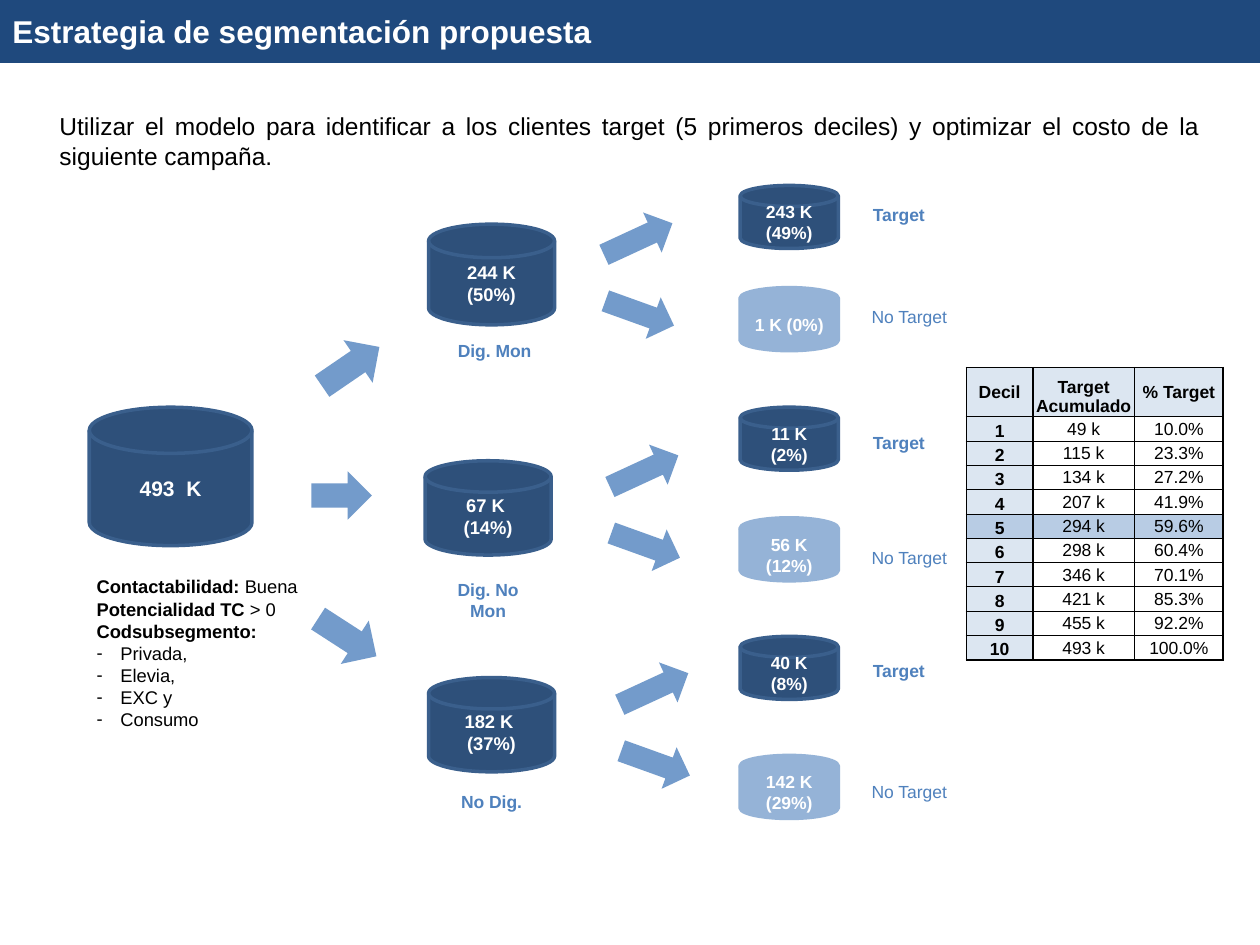
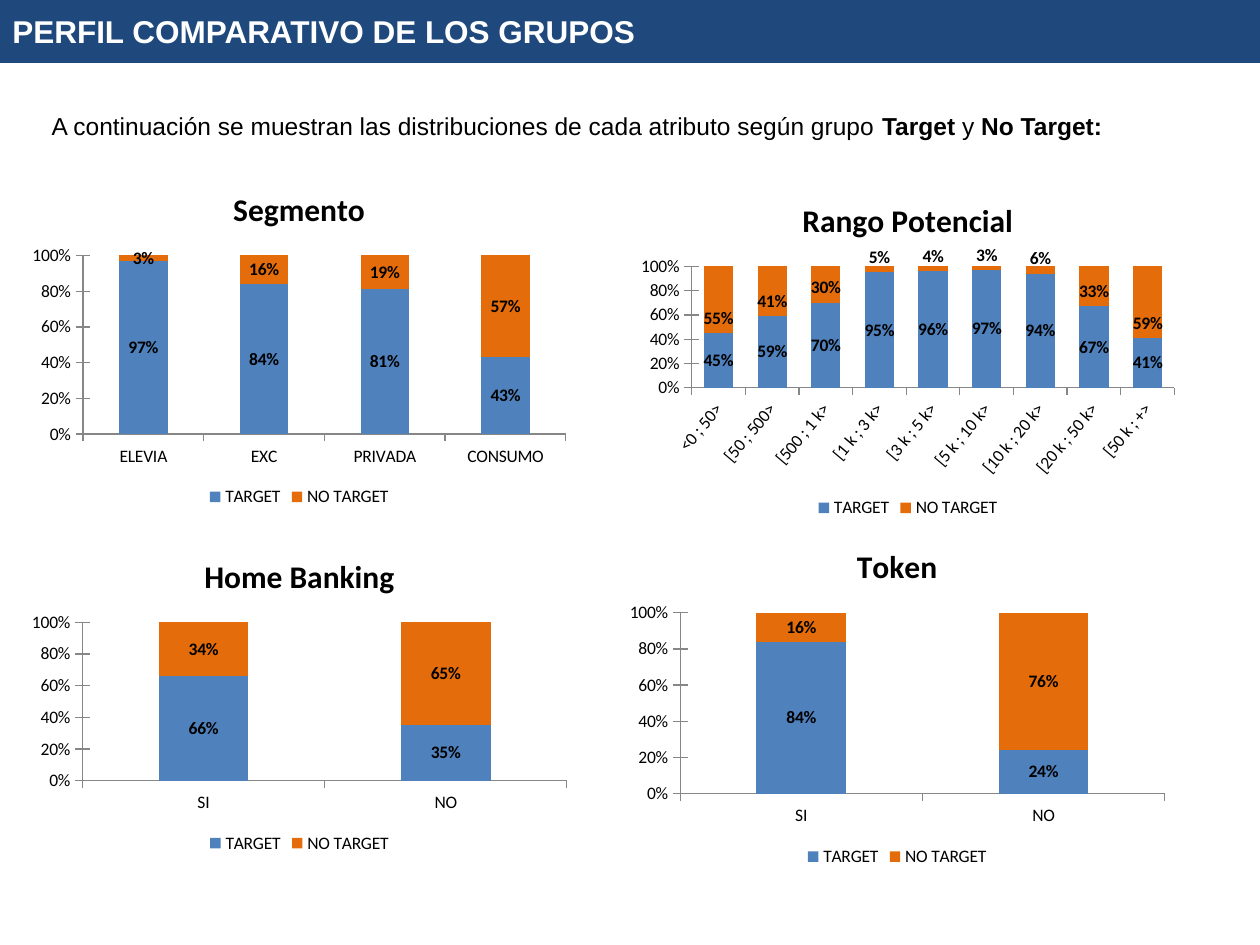
from dataclasses import dataclass

from lxml.etree import SubElement
from pptx import Presentation
from pptx.chart.data import CategoryChartData
from pptx.dml.color import RGBColor
from pptx.enum.chart import XL_CHART_TYPE, XL_LABEL_POSITION, XL_LEGEND_POSITION, XL_TICK_MARK
from pptx.enum.shapes import MSO_SHAPE
from pptx.enum.text import MSO_ANCHOR, PP_ALIGN
from pptx.oxml.ns import qn
from pptx.util import Cm, Pt


@dataclass(frozen=True)
class Theme:
    font: str = "Arial"
    chart_font: str = "Calibri"
    band: str = "1F497D"
    disk: str = "2E507A"
    disk_edge: str = "3A5F8C"
    disk_light: str = "95B3D7"
    arrow: str = "739BCB"
    label: str = "4F81BD"
    target: str = "4F81BD"
    no_target: str = "E46C0A"
    head: str = "DCE6F1"
    highlight: str = "B8CCE4"
    axis: str = "878787"
    white: str = "FFFFFF"
    black: str = "000000"
    title: float = 18
    body: float = 14
    total: float = 12
    note: float = 10.5
    small: float = 10


T = Theme()
DISK = MSO_SHAPE.FLOWCHART_MAGNETIC_DISK


def rgb(color):
    return RGBColor.from_string(color)


def add_run(p, text, size, color=T.black, bold=False):
    r = p.add_run()
    r.text = text
    r.font.name = T.font
    r.font.size = Pt(size)
    r.font.bold = bold
    r.font.color.rgb = rgb(color)


def write(tf, paragraphs, size, color=T.black, align=PP_ALIGN.LEFT, anchor=MSO_ANCHOR.TOP):
    tf.word_wrap = True
    tf.vertical_anchor = anchor
    for i, runs in enumerate(paragraphs):
        p = tf.paragraphs[0] if i == 0 else tf.add_paragraph()
        p.alignment = align
        for text, bold in runs:
            add_run(p, text, size, color, bold)


def add_text(slide, box, paragraphs, size, **style):
    s = slide.shapes.add_textbox(*map(Cm, box))
    write(s.text_frame, paragraphs, size, **style)
    return s.text_frame


def add_label(slide, box, text, bold=True):
    add_text(slide, box, [[(text, bold)]], T.small, color=T.label, align=PP_ALIGN.CENTER)


def add_shape(slide, kind, box, fill, edge=None):
    s = slide.shapes.add_shape(kind, *map(Cm, box))
    s.shadow.inherit = False
    s.fill.solid()
    s.fill.fore_color.rgb = rgb(fill)
    if edge:
        s.line.color.rgb = rgb(edge)
        s.line.width = Pt(2)
    else:
        s.line.fill.background()
    return s


def add_disk(slide, box, lines, size, fill=T.disk, edge=T.disk_edge):
    s = add_shape(slide, DISK, box, fill, edge)
    write(s.text_frame, [[(line, True)] for line in lines], size, T.white,
          PP_ALIGN.CENTER, MSO_ANCHOR.MIDDLE)


def add_arrow(slide, box, angle):
    add_shape(slide, MSO_SHAPE.UP_ARROW, box, T.arrow).rotation = angle


def add_header(slide, title):
    add_shape(slide, MSO_SHAPE.RECTANGLE, (0, 0, 25.4, 1.27), T.band)
    add_text(slide, (0, 0, 17.35, 1.24), [[(title, True)]], T.title,
             color=T.white, anchor=MSO_ANCHOR.MIDDLE)


def add_base(slide, x, y):
    add_disk(slide, (x, y, 3.28, 2.79), ["493  K"], T.total)
    add_arrow(slide, (x + 4.75, y - 1.52, 1.04, 1.4), 55.6)
    add_arrow(slide, (x + 4.6, y + 1.17, 0.97, 1.22), 90)
    add_arrow(slide, (x + 4.68, y + 3.94, 1.04, 1.4), 122.9)
    bullets = ["Privada, ", "Elevia, ", "EXC y ", "Consumo"]
    criteria = [
        [("Contactabilidad: ", True), ("Buena", False)],
        [("Potencialidad TC", True), (" > 0", False)],
        [("Codsubsegmento: ", True)],
    ]
    tf = add_text(slide, (x - 0.1, y + 3.27, 4.65, 3.4),
                  criteria + [[(b, False)] for b in bullets], T.note)
    for p in tf.paragraphs[len(criteria):]:
        pPr = p._p.get_or_add_pPr()
        pPr.set("marL", str(Cm(0.48)))
        pPr.set("indent", str(-Cm(0.48)))
        SubElement(pPr, qn("a:buFont")).set("typeface", T.font)
        SubElement(pPr, qn("a:buChar")).set("char", "-")


@dataclass(frozen=True)
class Branch:
    y: float
    name: str
    hub: list
    hub_box: tuple
    label_at: tuple
    arrows: tuple
    target: str
    target_label: float
    rest: str
    rest_dy: float
    rest_label: float


BRANCHES = [
    Branch(3.74, "Dig. Mon", ["244 K (50%)"], (0.07, 0.78, 2.54, 2.03), (0.13, 2.99),
           (3.85, 0.32), "243 K (49%)", 0.25, "1 K (0%)", 2.06, 0.25),
    Branch(8.21, "Dig. No Mon", ["67 K ", "(14%)"], (0, 1.08, 2.54, 1.9), (0, 3.33),
           (3.97, 0.53), "11 K (2%)", 0.38, "56 K (12%)", 2.23, 0.46),
    Branch(12.83, "No Dig.", ["182 K ", "(37%)"], (0.07, 0.83, 2.54, 1.9), (0.07, 2.99),
           (4.17, 0.3), "40 K (8%)", 0.35, "142 K (29%)", 2.4, 0.39),
]


def add_branch(slide, x, b):
    dx, dy, w, h = b.hub_box
    add_disk(slide, (x + dx, b.y + dy, w, h), b.hub, T.note)
    add_label(slide, (x + b.label_at[0], b.y + b.label_at[1], w, 0.69), b.name)
    ax, ay = x + b.arrows[0], b.y + b.arrows[1]
    add_arrow(slide, (ax, ay, 0.89, 1.52), 65.2)
    add_arrow(slide, (ax + 0.03, ay + 1.52, 0.89, 1.47), 109.8)
    leaf = x + 6.35
    add_disk(slide, (leaf, b.y, 1.98, 1.27), [b.target], T.small)
    add_label(slide, (leaf + 2.12, b.y + b.target_label, 2.16, 0.69), "Target")
    y = b.y + b.rest_dy
    add_disk(slide, (leaf, y, 1.98, 1.27), [b.rest], T.small, T.disk_light, T.disk_light)
    add_label(slide, (leaf + 2.33, y + b.rest_label, 2.16, 0.69), "No Target", False)


def set_borders(cell, widths):
    tcPr = cell._tc.get_or_add_tcPr()
    for i, (side, width) in enumerate(zip("LRTB", widths)):
        ln = tcPr.makeelement(qn(f"a:ln{side}"), {"w": str(Pt(width))})
        fill = SubElement(ln, qn("a:solidFill"))
        SubElement(fill, qn("a:srgbClr")).set("val", T.black)
        tcPr.insert(i, ln)


def add_decile_table(slide, x, y):
    totals = [49, 115, 134, 207, 294, 298, 346, 421, 455, 493]
    shares = [10.0, 23.3, 27.2, 41.9, 59.6, 60.4, 70.1, 85.3, 92.2, 100.0]
    rows = [("Decil", "Target Acumulado", "% Target")]
    rows += [(str(i), f"{t} k", f"{s:.1f}%")
             for i, (t, s) in enumerate(zip(totals, shares), 1)]
    widths = [1.34, 2.05, 1.79]
    heights = [0.99] + [0.49] * len(totals)
    table = slide.shapes.add_table(len(rows), len(widths), Cm(x), Cm(y),
                                   Cm(sum(widths)), Cm(sum(heights))).table
    for col, w in zip(table.columns, widths):
        col.width = Cm(w)
    for row, h in zip(table.rows, heights):
        row.height = Cm(h)
    last, cutoff = len(rows) - 1, 5
    for i, row in enumerate(rows):
        for j, text in enumerate(row):
            cell = table.cell(i, j)
            heading = i == 0 or j == 0
            cell.margin_left = cell.margin_right = cell.margin_top = Cm(0.02)
            cell.margin_bottom = 0
            low = (i, j) == (0, 1) or (i > 0 and j == 0)
            cell.vertical_anchor = MSO_ANCHOR.BOTTOM if low else MSO_ANCHOR.MIDDLE
            p = cell.text_frame.paragraphs[0]
            p.alignment = PP_ALIGN.CENTER
            add_run(p, text, T.small, bold=heading)
            cell.fill.solid()
            fill = T.highlight if i == cutoff else T.head if heading else T.white
            cell.fill.fore_color.rgb = rgb(fill)
            thick = (j < 2, j != 1, i < 2, i in (0, last))
            set_borders(cell, [1 if t else 0.5 for t in thick])


def add_profile_chart(slide, box, title, cats, target, gap, rest_position=None, angle=None):
    data = CategoryChartData(number_format="0%")
    data.categories = cats
    data.add_series("TARGET", target)
    data.add_series("NO TARGET", [round(1 - v, 2) for v in target])
    chart = slide.shapes.add_chart(XL_CHART_TYPE.COLUMN_STACKED_100, *map(Cm, box), data).chart
    chart.font.name = T.chart_font
    chart.font.size = Pt(T.small)
    chart.font.color.rgb = rgb(T.black)

    chart.has_title = True
    r = chart.chart_title.text_frame.paragraphs[0].add_run()
    r.text = title
    r.font.name = T.chart_font
    r.font.size = Pt(T.title)
    r.font.bold = True
    r.font.color.rgb = rgb(T.black)

    chart.has_legend = True
    chart.legend.position = XL_LEGEND_POSITION.BOTTOM
    chart.legend.include_in_layout = False

    axes = ((chart.category_axis, XL_TICK_MARK.OUTSIDE), (chart.value_axis, XL_TICK_MARK.CROSS))
    for axis, tick in axes:
        axis.has_major_gridlines = False
        axis.major_tick_mark = tick
        axis.minor_tick_mark = XL_TICK_MARK.NONE
        axis.format.line.color.rgb = rgb(T.axis)
    chart.value_axis.major_unit = 0.2
    chart.value_axis.tick_labels.number_format = "0%"
    chart.value_axis.tick_labels.number_format_is_linked = False
    if angle is not None:
        chart.category_axis.tick_labels.font.size = Pt(T.small)
        txPr = chart.category_axis._element.find(qn("c:txPr"))
        txPr.find(qn("a:bodyPr")).set("rot", str(angle * 60000))

    plot = chart.plots[0]
    plot.gap_width = gap
    plot.overlap = 100
    plot.vary_by_categories = False
    for series, color, pos in zip(plot.series, (T.target, T.no_target), (None, rest_position)):
        series.format.fill.solid()
        series.format.fill.fore_color.rgb = rgb(color)
        labels = series.data_labels
        labels.show_value = True
        labels.number_format = "0%"
        labels.number_format_is_linked = False
        labels.font.size = Pt(T.small)
        labels.font.bold = True
        labels.font.color.rgb = rgb(T.black)
        if pos is not None:
            labels.position = pos


def build_strategy(slide):
    add_header(slide, "Estrategia de segmentación propuesta")
    intro = ("Utilizar el modelo para identificar a los clientes target (5 primeros deciles) "
             "y optimizar el costo de la siguiente campaña.")
    add_text(slide, (0.95, 2.12, 23.5, 1.45), [[(intro, False)]], T.body, align=PP_ALIGN.JUSTIFY)
    add_base(slide, 1.8, 8.21)
    for branch in BRANCHES:
        add_branch(slide, 8.57, branch)
    add_decile_table(slide, 19.48, 7.41)


def build_profile(slide):
    add_header(slide, "PERFIL COMPARATIVO DE LOS GRUPOS")
    intro = "A continuación se muestran las distribuciones de cada atributo según grupo "
    add_text(slide, (0.79, 2.11, 23.98, 0.86),
             [[(intro, False), ("Target ", True), ("y ", False), ("No Target:", True)]], T.body)
    ranges = ["<0 ; 50>", "[50 ; 500>", "[500 ; 1 k>", "[1 k ; 3 k>", "[3 k ; 5 k>",
              "[5 k ; 10 k>", "[10 k ; 20 k>", "[20 k ; 50 k>", "[50 k ; +>"]
    center, base = XL_LABEL_POSITION.CENTER, XL_LABEL_POSITION.INSIDE_BASE
    add_profile_chart(slide, (0.43, 3.39, 11.2, 6.93), "Segmento",
                      ["ELEVIA", "EXC", "PRIVADA", "CONSUMO"], [0.97, 0.84, 0.81, 0.43], 150)
    add_profile_chart(slide, (12.7, 3.61, 11.2, 6.93), "Rango Potencial", ranges,
                      [0.45, 0.59, 0.7, 0.95, 0.96, 0.97, 0.94, 0.67, 0.41], 84, base, -50)
    add_profile_chart(slide, (0.42, 10.8, 11.23, 6.5), "Home Banking",
                      ["SI", "NO"], [0.66, 0.35], 170, center)
    add_profile_chart(slide, (12.47, 10.59, 11.23, 6.98), "Token",
                      ["SI", "NO"], [0.84, 0.24], 170, center)


prs = Presentation()
prs.slide_width, prs.slide_height = Cm(25.4), Cm(19.05)
for build in (build_strategy, build_profile):
    build(prs.slides.add_slide(prs.slide_layouts[6]))
prs.save("out.pptx")
